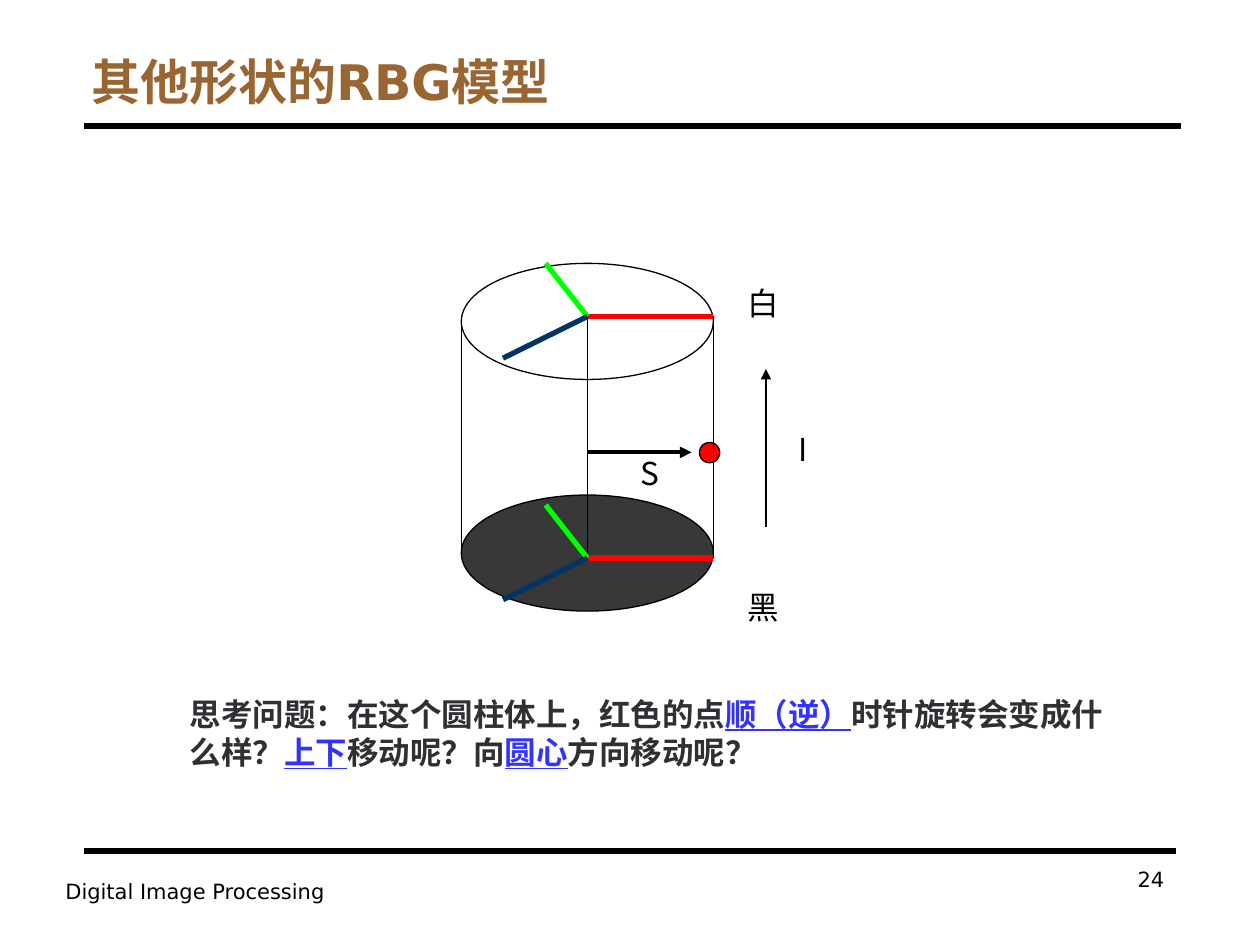
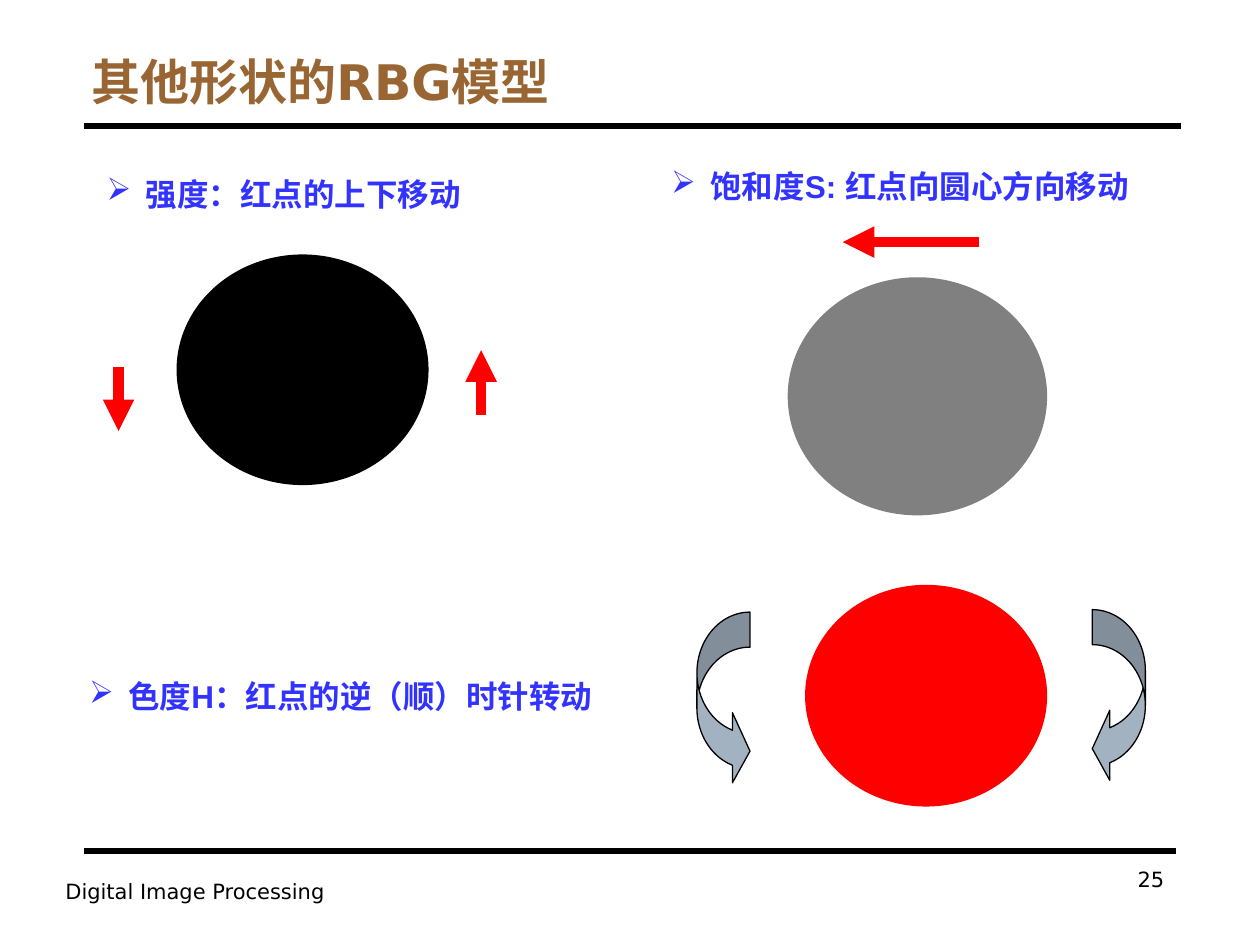
"""Build two slides on the cylindrical colour model and the moves of its red point."""
from dataclasses import dataclass

from lxml import etree
from pptx import Presentation, util as u
from pptx.dml.color import RGBColor
from pptx.enum import shapes, text
from pptx.oxml import ns


@dataclass(frozen=True)
class Theme:
    black: str = "000000"
    white: str = "FFFFFF"
    charcoal: str = "383838"
    ink: str = "2E3033"
    brown: str = "996633"
    link: str = "3333FF"
    red: str = "FF0000"
    green: str = "00FF00"
    navy: str = "003366"
    gray: str = "808080"
    steel: str = "A3B2C1"
    latin: str = "DejaVu Sans"
    body: str = "Arial"
    cjk: str = "Noto Sans CJK JP"
    title_size: int = 28
    body_size: int = 18
    footer_size: int = 12
    thin: float = 0.75
    rule: float = 3.25
    spoke: float = 3
    bold_arrow: float = 6


T = Theme()

TITLE_STYLE = dict(name=T.latin, size=u.Pt(T.title_size), bold=True)
FOOTER_STYLE = dict(name=T.latin, size=u.Pt(T.footer_size))
BODY_STYLE = dict(name=T.body, size=u.Pt(T.body_size), bold=True)
LABEL_STYLE = dict(name=T.cjk, size=u.Pt(T.body_size))

TITLE = "其他形状的RBG模型"
FOOTER = "Digital Image Processing"
RULES = [(1.7, 2.54, 23.8, 2.54), (1.7, 17.15, 23.7, 17.15)]

QUESTION = [
    ("思考问题：在这个圆柱体上，红色的点", False),
    ("顺（逆）", True),
    ("时针旋转会变成什么样？", False),
    ("上下", True),
    ("移动呢？向", False),
    ("圆心", True),
    ("方向移动呢？", False),
]
AXIS_X, RADIUS = 11.84, 2.54
HUB_LEVELS = (6.38, 11.25)
DISCS = [(5.31, T.white), (9.98, T.charcoal)]
DISC_HEIGHT = 2.34
SPOKES = [(RADIUS, 0, T.red), (-0.84, -1.07, T.green), (-1.7, 0.84, T.navy)]
INTENSITY_ARROW = (15.44, 10.62, 15.44, 7.44)
SATURATION_ARROW = (AXIS_X, 9.12, 13.94, 9.12)
LABELS = [
    ("黑", 14.81, 11.66),
    ("白", 14.81, 5.54),
    ("I", 15.85, 8.48),
    ("S", 12.67, 8.97),
]
RED_POINT = (14.1, 8.92, 0.41, 0.41)

MOVES = [
    ("强度：红点的上下移动", (1.9, 3.38, 8.03, 1.02)),
    ("饱和度S: 红点向圆心方向移动", (13.28, 3.23, 9.83, 1.02)),
    ("色度H：红点的逆（顺）时针转动", (1.55, 13.51, 11.13, 1.02)),
]
RESULTS = [
    ((3.56, 5.13, 5.08, 4.65), T.black),
    ((15.88, 5.59, 5.23, 4.8), T.gray),
    ((16.23, 11.79, 4.88, 4.47), T.red),
]
MOVE_ARROWS = [
    (9.7, 8.36, 9.7, 7.06),
    (2.39, 7.39, 2.39, 8.69),
    (19.74, 4.88, 16.99, 4.88),
]
TURNS = [
    (shapes.MSO_SHAPE.CURVED_LEFT_ARROW, (22.02, 12.29, 1.07, 3.51)),
    (shapes.MSO_SHAPE.CURVED_RIGHT_ARROW, (14.05, 12.34, 1.07, 3.51)),
]
TURN_SHAPE = (0.66, 1.32, 0.33)


def cm(lengths):
    return [u.Cm(length) for length in lengths]


def apply_format(target, values):
    for key, value in values.items():
        setattr(target, key, value)


def add_run(paragraph, words, style, color, underline=None):
    run = paragraph.add_run()
    run.text = words
    apply_format(run.font, {**style, "underline": underline})
    run.font.color.rgb = RGBColor.from_string(color)
    east_asian = etree.SubElement(run.font._element, ns.qn("a:ea"))
    east_asian.set("typeface", style["name"])


def add_words(slide, box, runs, style, leading=None, align=None, bullet=None):
    frame = slide.shapes.add_textbox(*cm(box)).text_frame
    frame.word_wrap = True
    paragraph = frame.paragraphs[0]
    if bullet:
        props = paragraph._p.get_or_add_pPr()
        props.set("marL", str(u.Cm(0.79)))
        props.set("indent", str(-u.Cm(0.79)))
        etree.SubElement(props, ns.qn("a:buChar")).set("char", bullet)
    if leading:
        paragraph.line_spacing = u.Pt(round(style["size"].pt * leading, 1))
    paragraph.alignment = align
    for run in runs:
        add_run(paragraph, run[0], style, *run[1:])


def add_line(slide, ends, color, width, arrow=False):
    line = slide.shapes.add_connector(shapes.MSO_CONNECTOR.STRAIGHT, *cm(ends))
    line.line.color.rgb = RGBColor.from_string(color)
    line.line.width = u.Pt(width)
    if arrow:
        outline = line.line._get_or_add_ln()
        etree.SubElement(outline, ns.qn("a:tailEnd")).set("type", "triangle")
    etree.SubElement(line._element.spPr, ns.qn("a:effectLst"))


def add_figure(slide, kind, box, fill, outlined=True):
    figure = slide.shapes.add_shape(kind, *cm(box))
    figure.shadow.inherit = False
    figure.fill.solid()
    figure.fill.fore_color.rgb = RGBColor.from_string(fill)
    if outlined:
        figure.line.color.rgb = RGBColor.from_string(T.black)
        figure.line.width = u.Pt(T.thin)
    else:
        figure.line.fill.background()
    return figure


def add_page(deck, number):
    slide = deck.slides.add_slide(deck.slide_layouts[6])
    for rule in RULES:
        add_line(slide, rule, T.black, T.rule)
    add_words(slide, (1.6, 0.89, 16.51, 1.45), [(TITLE, T.brown)], TITLE_STYLE, 1.22)
    add_words(slide, (1.07, 17.58, 7.19, 1.32), [(FOOTER, T.black)], FOOTER_STYLE)
    add_words(slide, (18.21, 17.35, 5.51, 1.32), [(str(number), T.black)],
              FOOTER_STYLE, align=text.PP_ALIGN.RIGHT)
    return slide


def draw_cylinder(slide):
    oval = shapes.MSO_SHAPE.OVAL
    top, bottom = HUB_LEVELS
    for disc_top, fill in DISCS:
        add_figure(slide, oval, (AXIS_X - RADIUS, disc_top, 2 * RADIUS, DISC_HEIGHT), fill)
    for x in (AXIS_X - RADIUS, AXIS_X):
        add_line(slide, (x, top, x, bottom), T.black, T.thin)
    for dx, dy, color in SPOKES:
        for hub in HUB_LEVELS:
            add_line(slide, (AXIS_X, hub, AXIS_X + dx, hub + dy), color, T.spoke)
    add_line(slide, INTENSITY_ARROW, T.black, 1.5, arrow=True)
    add_line(slide, SATURATION_ARROW, T.black, 2.25, arrow=True)
    for label, left, label_top in LABELS:
        add_words(slide, (left, label_top, 1.07, 1.27), [(label, T.black)], LABEL_STYLE, 1.3)
    add_figure(slide, oval, RED_POINT, T.red)
    right = AXIS_X + RADIUS
    add_line(slide, (right, top, right, bottom), T.black, T.thin)


def draw_moves(slide):
    for move, box in MOVES:
        add_words(slide, box, [(move, T.link)], BODY_STYLE, 1.22, bullet="➢")
    for box, fill in RESULTS:
        add_figure(slide, shapes.MSO_SHAPE.OVAL, box, fill, outlined=False)
    for ends in MOVE_ARROWS:
        add_line(slide, ends, T.red, T.bold_arrow, arrow=True)
    for kind, box in TURNS:
        turn = add_figure(slide, kind, box, T.steel)
        for index, value in enumerate(TURN_SHAPE):
            turn.adjustments[index] = value


def main():
    deck = Presentation()
    apply_format(deck, dict(slide_width=u.Cm(25.4), slide_height=u.Cm(19.05)))

    cylinder = add_page(deck, 24)
    question = [(words, T.link if key else T.ink, key) for words, key in QUESTION]
    add_words(cylinder, (3.58, 13.87, 19.08, 1.8), question, BODY_STYLE, 1.22)
    draw_cylinder(cylinder)

    draw_moves(add_page(deck, 25))
    deck.save("out.pptx")


if __name__ == "__main__":
    main()
